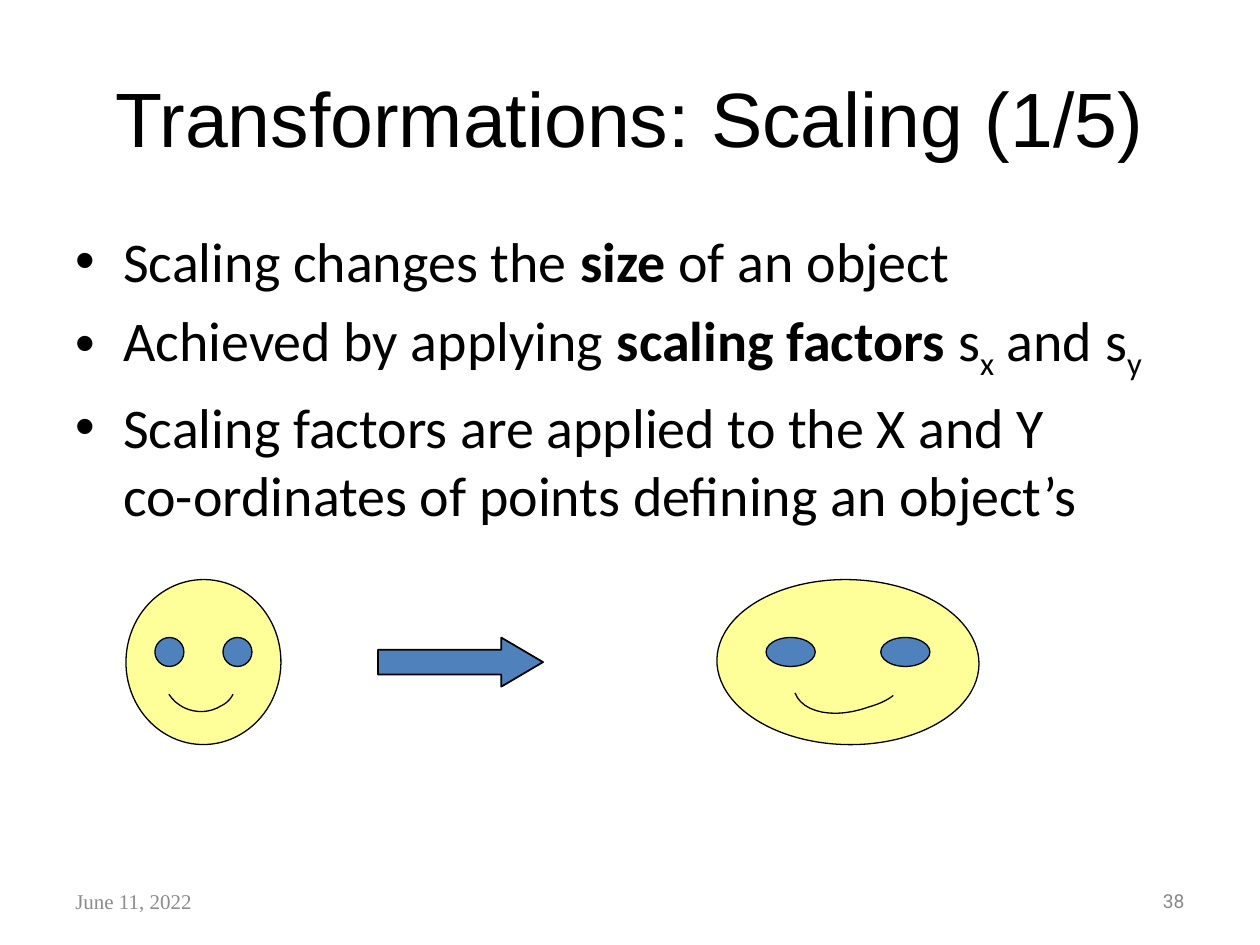
from dataclasses import dataclass

from lxml.etree import SubElement
from pptx import Presentation
from pptx.dml.color import RGBColor
from pptx.enum.shapes import MSO_SHAPE
from pptx.enum.text import MSO_ANCHOR, PP_ALIGN
from pptx.oxml.ns import qn
from pptx.util import Inches, Pt

BLACK = "000000"
BLUE = "4F81BD"
YELLOW = "FFFF99"
CURVE_STEPS = 12

Point = tuple[float, float]


@dataclass
class Label:
    text: str
    box: tuple[float, float, float, float]
    size: float
    font: str
    color: str
    align: PP_ALIGN


@dataclass
class Face:
    left: float
    width: float
    eye_lefts: tuple[float, float]
    eye_width: float
    smile: list[Point]  # two joined cubic curves


LABELS = [
    Label("Transformations: Scaling (1/5)", (0.5, 0.3, 9, 1.25), 44, "Arial", BLACK, PP_ALIGN.CENTER),
    Label("June 11, 2022", (0.5, 6.95, 2.33, 0.4), 12, "Times New Roman", "8C8C8C", PP_ALIGN.LEFT),
    Label("38", (7.17, 6.95, 2.33, 0.4), 11, "Roboto", "898989", PP_ALIGN.RIGHT),
]

# Each bullet is a list of (text, style) runs
BULLETS = [
    [("Scaling changes the ", ""), ("size", "bold"), (" of an object", "")],
    [("Achieved by applying ", ""), ("scaling factors", "bold"), (" s", ""), ("x", "subscript"),
     (" and s", ""), ("y", "subscript")],
    [("Scaling factors are applied to the X and Y ", ""), ("", "break"),
     ("co-ordinates of points defining an object’s", "")],
]

FACES = [
    Face(1, 1.23, (1.23, 1.77), 0.23,
         [(1.85, 5.51), (1.83, 5.55), (1.8, 5.58), (1.76, 5.6), (1.62, 5.69), (1.43, 5.65), (1.34, 5.51)]),
    Face(5.69, 2.08, (6.08, 6.99), 0.39,
         [(7.09, 5.52), (7.04, 5.56), (6.97, 5.59), (6.9, 5.61), (6.63, 5.71), (6.37, 5.66), (6.31, 5.5)]),
]


def rgb(color: str) -> RGBColor:
    return RGBColor.from_string(color)


def add_text_frame(slide, box, anchor):
    frame = slide.shapes.add_textbox(*map(Inches, box)).text_frame
    frame.word_wrap = True
    frame.vertical_anchor = anchor
    return frame


def style_font(font, name: str, size: float, color: str) -> None:
    font.name = name
    font.size = Pt(size)
    font.color.rgb = rgb(color)


def add_label(slide, label: Label) -> None:
    paragraph = add_text_frame(slide, label.box, MSO_ANCHOR.MIDDLE).paragraphs[0]
    paragraph.text = label.text
    paragraph.alignment = label.align
    style_font(paragraph.font, label.font, label.size, label.color)


def add_bullets(slide) -> None:
    frame = add_text_frame(slide, (0.5, 1.75, 9, 4.95), MSO_ANCHOR.TOP)
    for index, runs in enumerate(BULLETS):
        paragraph = frame.paragraphs[0] if index == 0 else frame.add_paragraph()
        if index:
            paragraph.space_before = Pt(6.4)
        properties = paragraph._p.get_or_add_pPr()
        properties.set("marL", str(Inches(0.38)))
        properties.set("indent", str(-Inches(0.38)))
        SubElement(properties, qn("a:buFont"), typeface="Arial")
        SubElement(properties, qn("a:buChar"), char="•")
        style_font(paragraph.font, "Calibri", 32, BLACK)
        for text, style in runs:
            if style == "break":
                paragraph.add_line_break()
                continue
            run = paragraph.add_run()
            run.text = text
            if style == "bold":
                run.font.bold = True
            elif style == "subscript":
                run.font._element.set("baseline", "-25000")


def style_shape(shape, fill: str | None, line_width: float = 0.75) -> None:
    shape.shadow.inherit = False
    if fill:
        shape.fill.solid()
        shape.fill.fore_color.rgb = rgb(fill)
    else:
        shape.fill.background()
    shape.line.color.rgb = rgb(BLACK)
    shape.line.width = Pt(line_width)


def add_preset(shapes, preset, box, fill: str, line_width: float = 0.75):
    shape = shapes.add_shape(preset, *map(Inches, box))
    style_shape(shape, fill, line_width)
    return shape


def curve_points(start: Point, first: Point, second: Point, end: Point) -> list[Point]:
    points = []
    for step in range(1, CURVE_STEPS + 1):
        t = step / CURVE_STEPS
        weights = ((1 - t) ** 3, 3 * t * (1 - t) ** 2, 3 * t ** 2 * (1 - t), t ** 3)
        x, y = (sum(w * value for w, value in zip(weights, axis))
                for axis in zip(start, first, second, end))
        points.append((Inches(x), Inches(y)))
    return points


def add_face(slide, face: Face) -> None:
    shapes = slide.shapes.add_group_shape().shapes
    head = add_preset(shapes, MSO_SHAPE.OVAL, (face.left, 4.6, face.width, 1.31), YELLOW)
    head.rotation = 1.1
    for eye_left in face.eye_lefts:
        add_preset(shapes, MSO_SHAPE.OVAL, (eye_left, 5.06, face.eye_width, 0.23), BLUE)
    builder = shapes.build_freeform(*map(Inches, face.smile[0]))
    points = curve_points(*face.smile[:4]) + curve_points(*face.smile[3:])
    builder.add_line_segments(points, close=False)
    style_shape(builder.convert_to_shape(), None)


def main() -> None:
    presentation = Presentation()
    presentation.slide_width = Inches(10)
    presentation.slide_height = Inches(7.5)
    slide = presentation.slides.add_slide(presentation.slide_layouts[6])

    # Title, date, page number and body
    for label in LABELS:
        add_label(slide, label)
    add_bullets(slide)

    # Arrow from the face to its scaled version
    arrow = add_preset(slide.shapes, MSO_SHAPE.RIGHT_ARROW, (3, 5.06, 1.31, 0.39), BLUE, 1)
    arrow.adjustments[1] = 0.85
    for face in FACES:
        add_face(slide, face)

    presentation.save("out.pptx")


if __name__ == "__main__":
    main()
